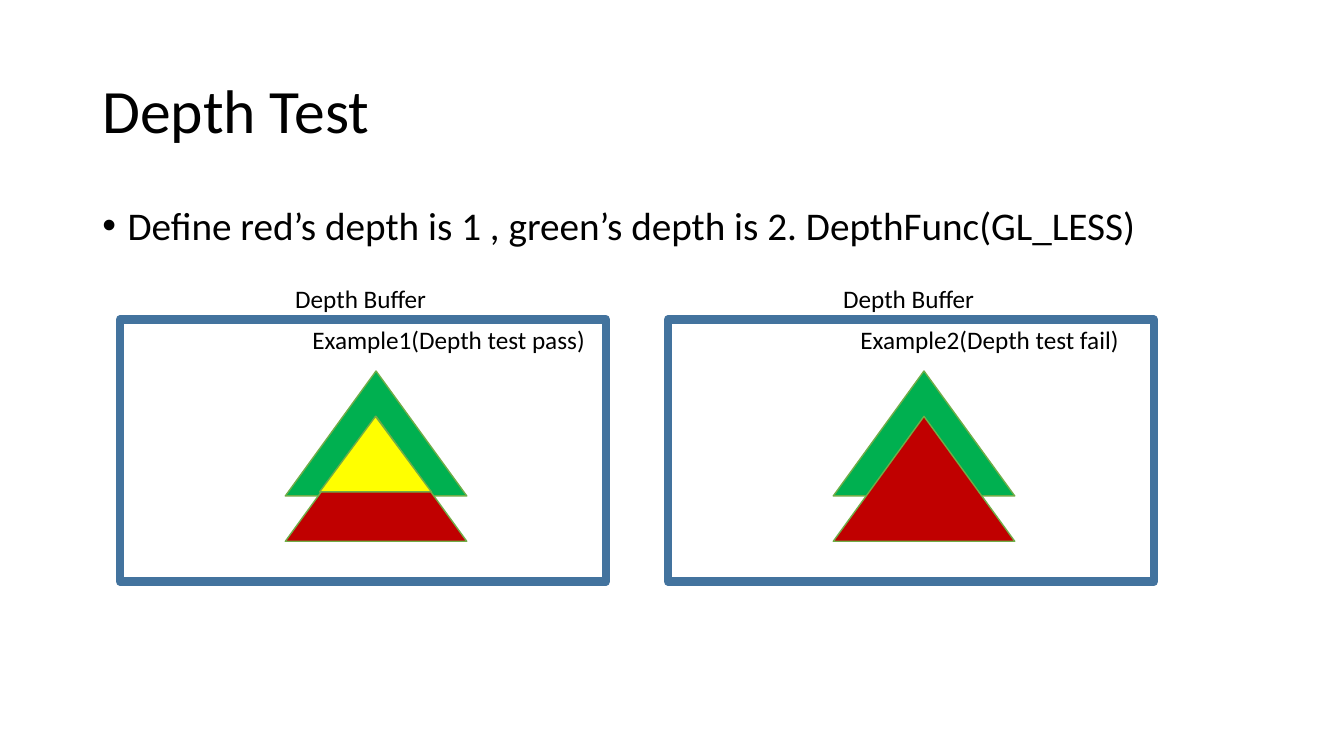
from dataclasses import dataclass

from lxml.etree import SubElement
from pptx import Presentation
from pptx.dml.color import RGBColor
from pptx.enum.shapes import MSO_SHAPE as Shape
from pptx.enum.text import MSO_ANCHOR as Anchor, MSO_AUTO_SIZE as AutoSize
from pptx.oxml.ns import qn
from pptx.util import Inches, Pt

FONT = "Calibri"
BLACK, BLUE, LIME = "000000", "43739E", "70AD47"
GREEN, RED, YELLOW = "00B050", "C00000", "FFFF00"


@dataclass(frozen=True)
class Box:
    """Left, top, width and height in percent of the slide's size."""
    left: float
    top: float
    width: float
    height: float

    def moved(self, distance: float) -> "Box":
        return Box(self.left + distance, self.top, self.width, self.height)


@dataclass(frozen=True)
class Triangle:
    box: Box
    fill: str


@dataclass(frozen=True)
class Example:
    caption: str
    caption_width: float
    triangles: tuple[Triangle, ...]


# Layout of the slide; panel parts are placed for the left panel
TITLE_BOX = Box(6.88, 5.32, 86.25, 19.33)
RULE_BOX = Box(6.88, 26.67, 86.25, 63.47)
FRAME = Box(8.93, 42.27, 36.15, 34.67)
BUFFER_LABEL = Box(21.23, 36.8, 11.4, 5.33)
PANEL_STEP = 40.77

BACK = Triangle(Box(21.23, 49.07, 13.5, 16.53), GREEN)
FRONT = Triangle(Box(21.23, 55.07, 13.5, 16.53), RED)
OVERLAP = Triangle(Box(23.78, 55.07, 8.33, 10), YELLOW)

EXAMPLES = (
    Example("Example1(Depth test pass)", 22.05, (BACK, FRONT, OVERLAP)),
    Example("Example2(Depth test fail)", 20.93, (BACK, FRONT)),
)

deck = Presentation()
deck.slide_width, deck.slide_height = Inches(13.33), Inches(7.5)
slide = deck.slides.add_slide(deck.slide_layouts[6])


def color(value: str) -> RGBColor:
    return RGBColor.from_string(value)


def place(box: Box) -> tuple[int, int, int, int]:
    across, down = deck.slide_width / 100, deck.slide_height / 100
    return (round(box.left * across), round(box.top * down),
            round(box.width * across), round(box.height * down))


def add_text(box: Box, text: str, size: float, frame_format: dict,
             paragraph_format: dict):
    frame = slide.shapes.add_textbox(*place(box)).text_frame
    for name, value in frame_format.items():
        setattr(frame, name, value)
    paragraph = frame.paragraphs[0]
    for name, value in paragraph_format.items():
        setattr(paragraph, name, value)
    run = paragraph.add_run()
    run.text = text
    for name, value in {"name": FONT, "size": Pt(size)}.items():
        setattr(run.font, name, value)
    run.font.color.rgb = color(BLACK)
    return paragraph


def add_label(box: Box, text: str) -> None:
    add_text(box, text, 18,
             {"word_wrap": False, "auto_size": AutoSize.SHAPE_TO_FIT_TEXT}, {})


def add_outline(kind: Shape, box: Box, line: str, width: float,
                fill: str | None = None) -> None:
    outline = slide.shapes.add_shape(kind, *place(box))
    outline.shadow.inherit = False
    outline.line.color.rgb = color(line)
    outline.line.width = Pt(width)
    if fill is None:
        outline.fill.background()
    else:
        outline.fill.solid()
        outline.fill.fore_color.rgb = color(fill)


def add_bullet(paragraph) -> None:
    properties = paragraph._p.get_or_add_pPr()
    properties.set("marL", str(Inches(0.25)))
    properties.set("indent", str(-Inches(0.25)))
    SubElement(properties, qn("a:buFont")).set("typeface", "Arial")
    SubElement(properties, qn("a:buChar")).set("char", "•")


def add_panel(example: Example, shift: float) -> None:
    back, *nearer = example.triangles
    caption = Box(22.5, FRAME.top, example.caption_width, BUFFER_LABEL.height)
    add_outline(Shape.RECTANGLE, FRAME.moved(shift), BLUE, 6)
    add_label(BUFFER_LABEL.moved(shift), "Depth Buffer")
    add_label(caption.moved(shift), example.caption)
    for triangle in (back, *nearer):
        add_outline(Shape.ISOSCELES_TRIANGLE, triangle.box.moved(shift),
                    LIME, 1, triangle.fill)


# Title and the depth rule
add_text(TITLE_BOX, "Depth Test", 44,
         {"word_wrap": True, "vertical_anchor": Anchor.MIDDLE},
         {"line_spacing": 0.9})
depth_rule = add_text(
    RULE_BOX, "Define red’s depth is 1 , green’s depth is 2. DepthFunc(GL_LESS)",
    28, {"word_wrap": True}, {"line_spacing": 0.9, "space_before": Pt(10)})
add_bullet(depth_rule)

# One depth buffer panel for each example
for column, example in enumerate(EXAMPLES):
    add_panel(example, column * PANEL_STEP)

deck.save("out.pptx")
